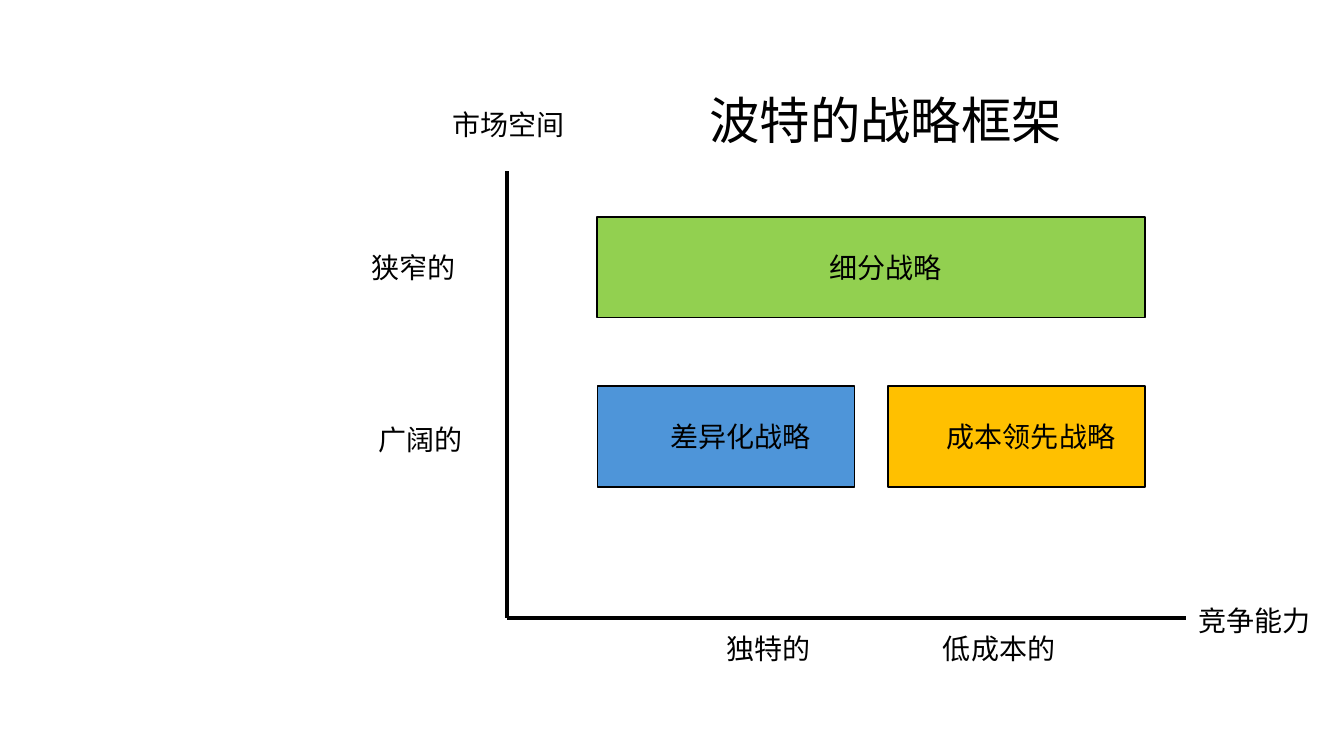
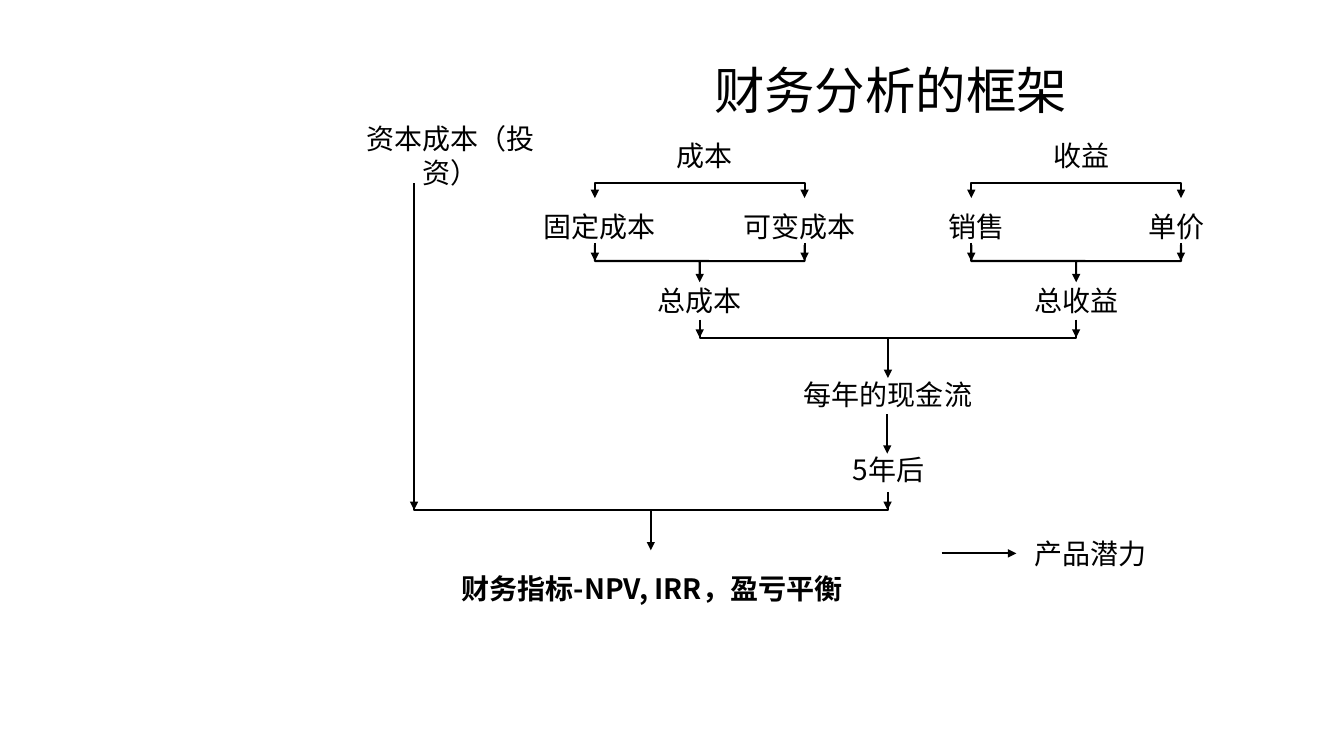
from lxml.etree import SubElement
from pptx import Presentation
from pptx.dml.color import RGBColor
from pptx.enum.shapes import MSO_CONNECTOR as Connector, MSO_SHAPE as Shape
from pptx.enum.text import MSO_ANCHOR as Anchor, MSO_AUTO_SIZE as AutoSize, PP_ALIGN as Align
from pptx.oxml.ns import qn
from pptx.util import Inches, Pt

FONT = "Noto Sans CJK SC"
BLACK, GREEN, BLUE, AMBER = "000000", "92D050", "4E95D9", "FFC000"
TITLE_SIZE, BODY_SIZE = 36, 20

deck = Presentation()
deck.slide_width, deck.slide_height = Inches(13.33), Inches(7.5)
COL, ROW = Inches(1) / 3, Inches(1) / 4
TITLE_ONLY = deck.slide_layouts[5]
hex_color = RGBColor.from_string


def label(slide, words, x, y, cols, rows=2.24, fill=None, title=False, bold=False, indent=False):
    """Write words in a box centred on column x and row y."""
    box = [int(v) for v in ((x - cols / 2) * COL, (y - rows / 2) * ROW, cols * COL, rows * ROW)]
    if title:
        shape = slide.shapes.title
        shape.left, shape.top, shape.width, shape.height = box
    else:
        shape = slide.shapes.add_shape(Shape.ROUNDED_RECTANGLE, *box)
        shape.adjustments[0] = 0
        shape.shadow.inherit = False
        if fill:
            shape.fill.solid()
            shape.fill.fore_color.rgb = hex_color(fill)
            shape.line.color.rgb = hex_color(BLACK)
            shape.line.width = Pt(1.25)
        else:
            shape.fill.background()
            shape.line.fill.background()
    frame = shape.text_frame
    frame.auto_size = AutoSize.NONE
    frame.word_wrap = True
    frame.vertical_anchor = Anchor.MIDDLE
    frame.margin_left = int((1.17 if indent else 0.24) * COL)
    frame.margin_right = int((0.3 if indent else 0.24) * COL)
    frame.margin_top = frame.margin_bottom = int(0.2 * ROW)
    paragraph = frame.paragraphs[0]
    paragraph.alignment = Align.CENTER
    run = paragraph.add_run()
    run.text = words
    run.font.size = Pt(TITLE_SIZE if title else BODY_SIZE)
    run.font.bold = bold
    run.font.color.rgb = hex_color(BLACK)
    run.font.name = FONT
    SubElement(run._r.get_or_add_rPr(), qn("a:ea")).set("typeface", FONT)


def rule(slide, x1, y1, x2, y2, weight=1.5, arrow=True):
    """Draw a straight line between two grid points."""
    ends = [int(v) for v in (x1 * COL, y1 * ROW, x2 * COL, y2 * ROW)]
    line = slide.shapes.add_connector(Connector.STRAIGHT, *ends)
    line.line.color.rgb = hex_color(BLACK)
    line.line.width = Pt(weight)
    if arrow:
        SubElement(line.line._get_or_add_ln(), qn("a:tailEnd")).set("type", "triangle")
    SubElement(line._element.spPr, qn("a:effectLst"))


# Strategy framework
strategy = deck.slides.add_slide(TITLE_ONLY)
label(strategy, "波特的战略框架", 25.92, 4.74, 13.44, 3, title=True, indent=True)

for words, x, y, cols, fill in (
    ("细分战略", 25.92, 10.6, 16.29, GREEN),
    ("差异化战略", 21.6, 17.32, 7.65, BLUE),
    ("成本领先战略", 30.24, 17.32, 7.65, AMBER),
):
    label(strategy, words, x, y, cols, 4, fill=fill, indent=True)

origin_x, origin_y = 15.09, 24.52
for end_x, end_y in ((35.28, origin_y), (origin_x, 6.8)):
    rule(strategy, origin_x, origin_y, end_x, end_y, weight=2.75, arrow=False)

for words, x, y in (
    ("市场空间", 14.69, 4.94),
    ("狭窄的", 11.87, 10.62),
    ("广阔的", 12.08, 17.42),
    ("独特的", 22.42, 25.72),
    ("低成本的", 29.29, 25.72),
    ("竞争能力", 36.9, 24.62),
):
    label(strategy, words, x, y, 5.67, 2.84, indent=True)

# Financial analysis framework
finance = deck.slides.add_slide(TITLE_ONLY)
label(finance, "财务分析的框架", 26.06, 3.54, 20.97, 3, title=True, indent=True)

BRANCH_STEP, LEG_SPAN = 11.2, 6.24
splits = []  # left, right
merges = [  # left, right, left top, right top, bar, stem end, brace depth
    (20.82, 20.82 + BRANCH_STEP, 12.68, 12.68, 13.4, 15, 1.2),
    (12.32, 26.41, 7.28, 19.52, 20.24, 21.84, 1.2),
]
for branch, (source, first, second, total) in enumerate((
    ("成本", "固定成本", "可变成本", "总成本"),
    ("收益", "销售", "单价", "总收益"),
)):
    shift = branch * BRANCH_STEP
    for words, x, y in ((source, 20.97, 6.16), (first, 17.85, 9),
                        (second, 23.8, 9), (total, 20.82, 11.92)):
        label(finance, words, x + shift, y, 4.53)
    left, right = 17.7 + shift, 17.7 + LEG_SPAN + shift
    splits.append((left, right))
    merges.append((left, right, 9.64, 9.64, 10.36, 11.2, 1.28))

brackets = [(Shape.LEFT_BRACKET, left, right, 7.56, 0.6) for left, right in splits]
for left, right, left_top, right_top, bar, stem_end, depth in merges:
    brackets.append((Shape.RIGHT_BRACE, left, right, bar, depth))
    middle = (left + right) / 2
    for x, top, bottom in ((left, left_top, bar), (right, right_top, bar), (middle, bar, stem_end)):
        rule(finance, x, top, x, bottom)

for kind, left, right, y, depth in brackets:
    thickness, span = depth * ROW, (right - left) * COL
    bracket = finance.shapes.add_shape(
        kind, int((left + right) / 2 * COL - thickness / 2), int(y * ROW - span / 2),
        int(thickness), int(span))
    bracket.rotation = 90
    bracket.adjustments[0] = 0
    bracket.shadow.inherit = False
    bracket.fill.background()
    bracket.line.color.rgb = hex_color(BLACK)
    bracket.line.width = Pt(1.5)
    if kind == Shape.LEFT_BRACKET:
        for end in ("a:headEnd", "a:tailEnd"):
            SubElement(bracket.line._get_or_add_ln(), qn(end)).set("type", "triangle")

rule(finance, 26.4, 16.44, 26.4, 18)
rule(finance, 28.02, 21.96, 30.24, 21.96)

for words, x, y, cols, bold in (
    ("资本成本（投资）", 13.41, 6.16, 6.42, False),
    ("每年的现金流", 26.42, 15.64, 6.66, False),
    ("5年后", 26.44, 18.64, 6.66, False),
    ("产品潜力", 32.46, 21.96, 6.66, False),
    ("财务指标-NPV, IRR，盈亏平衡", 19.4, 23.35, 12.45, True),
):
    label(finance, words, x, y, cols, bold=bold)

deck.save("out.pptx")
